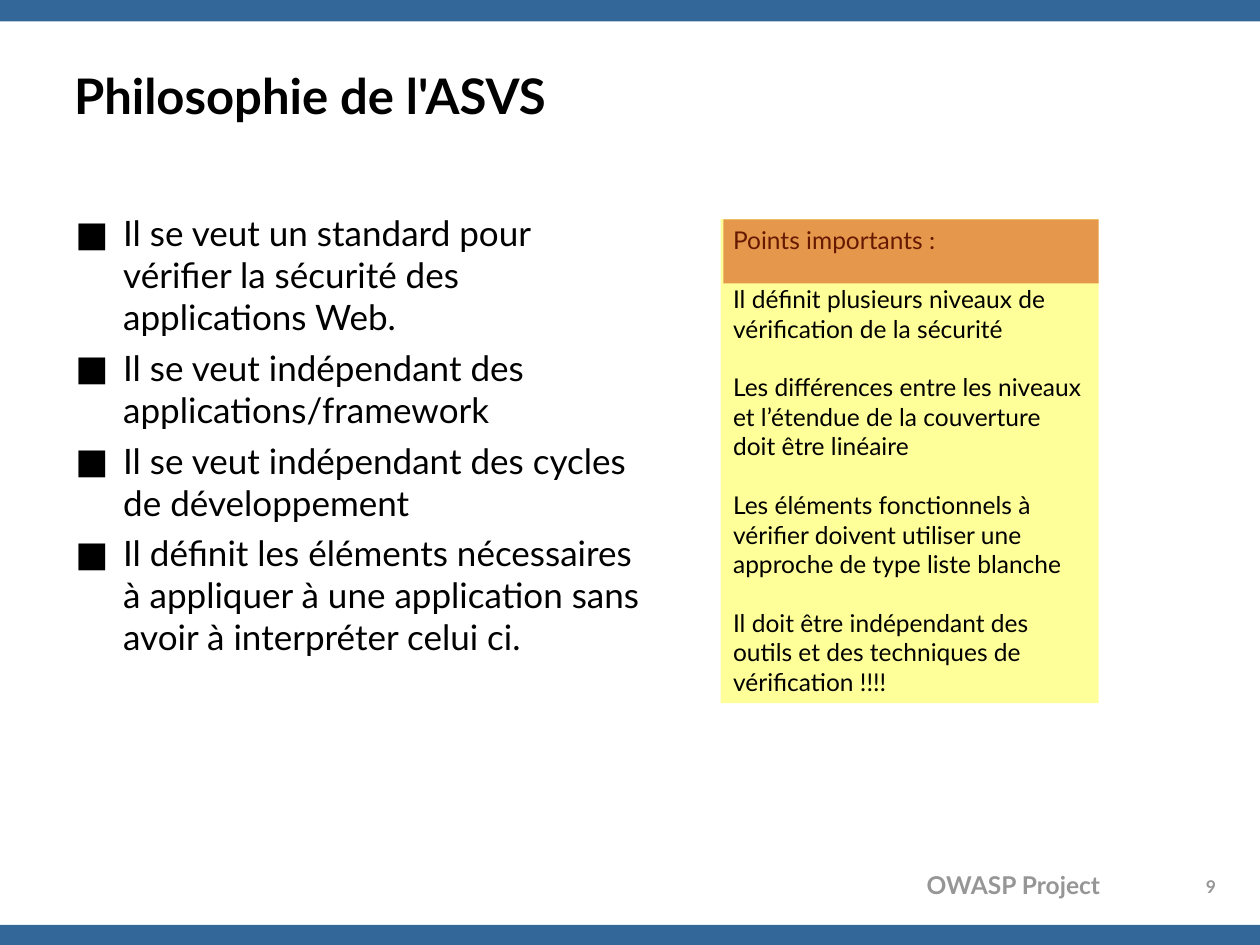
from dataclasses import dataclass
from typing import Optional

import lxml.etree
import pptx
import pptx.dml.color
import pptx.enum.shapes
import pptx.enum.text
import pptx.oxml.ns
import pptx.slide
import pptx.text.text
import pptx.util
from pptx.util import Inches

ALIGN = pptx.enum.text.PP_ALIGN
ANCHOR = pptx.enum.text.MSO_ANCHOR


@dataclass(frozen=True)
class Theme:
    font: str = "Lato"
    band: str = "336699"
    ink: str = "000000"
    muted: str = "969696"
    panel: str = "FFFF99"
    highlight: str = "CC3300"
    title_size: float = 28
    body_size: float = 20
    note_size: float = 14
    number_size: float = 10


@dataclass(frozen=True)
class Area:
    left: float
    top: float
    width: float
    height: float

    def lengths(self) -> tuple:
        return tuple(Inches(v) for v in (self.left, self.top, self.width, self.height))


THEME = Theme()
BANDS = [Area(0, 0, 10, 0.17), Area(0, 7.34, 10, 0.17)]
BULLETS = [
    "Il se veut un standard pour vérifier la sécurité des applications Web.",
    "Il se veut indépendant des applications/framework",
    "Il se veut indépendant des cycles de développement",
    "Il définit les éléments nécessaires à appliquer à une application sans "
    "avoir à interpréter celui ci.",
]
KEY_POINTS = [
    "Points importants :",
    "Il définit plusieurs niveaux de vérification de la sécurité",
    "Les différences entre les niveaux et l’étendue de la couverture doit être linéaire",
    "Les éléments fonctionnels à vérifier doivent utiliser une approche de type liste blanche",
    "Il doit être indépendant des outils et des techniques de vérification !!!!",
]


def color(value: str) -> pptx.dml.color.RGBColor:
    return pptx.dml.color.RGBColor.from_string(value)


def add_element(parent, tag: str, **attributes: str):
    return lxml.etree.SubElement(parent, pptx.oxml.ns.qn(tag), attributes)


def add_bullet(para, indent: float) -> None:
    """Give the paragraph a black square bullet with a hanging indent."""
    properties = para._p.get_or_add_pPr()
    properties.set("marL", str(Inches(indent)))
    properties.set("indent", str(-Inches(indent)))
    bullet_color = add_element(properties, "a:buClr")
    add_element(bullet_color, "a:srgbClr", val=THEME.ink)
    add_element(properties, "a:buFont", typeface=THEME.font)
    add_element(properties, "a:buChar", char="■")


def write(frame: pptx.text.text.TextFrame, texts: list[str], *, size: float,
          ink: str = THEME.ink, bold: bool = False, align: ALIGN = ALIGN.LEFT,
          anchor: ANCHOR = ANCHOR.TOP, gap: float = 0,
          bullet_indent: Optional[float] = None) -> None:
    """Fill a frame with one paragraph per text, parted by gap points."""
    frame.word_wrap = True
    frame.vertical_anchor = anchor
    for index, text in enumerate(texts):
        para = frame.add_paragraph() if index else frame.paragraphs[0]
        para.alignment = align
        if index and gap:
            para.space_before = pptx.util.Pt(gap)
        if bullet_indent is not None:
            add_bullet(para, bullet_indent)
        span = para.add_run()
        span.text = text
        span.font.name = THEME.font
        span.font.size = pptx.util.Pt(size)
        span.font.bold = bold
        span.font.color.rgb = color(ink)


def add_text(page: pptx.slide.Slide, area: Area, texts: list[str], **text_format) -> None:
    box = page.shapes.add_textbox(*area.lengths())
    write(box.text_frame, texts, **text_format)


def add_rectangle(page: pptx.slide.Slide, area: Area, fill: str,
                  opacity: Optional[int] = None):
    """Draw a borderless rectangle; opacity is a percentage."""
    shape = page.shapes.add_shape(
        pptx.enum.shapes.MSO_SHAPE.RECTANGLE, *area.lengths())
    shape.shadow.inherit = False
    shape.line.fill.background()
    shape.fill.solid()
    shape.fill.fore_color.rgb = color(fill)
    if opacity is not None:
        fill_color = shape._element.spPr.find(".//" + pptx.oxml.ns.qn("a:srgbClr"))
        add_element(fill_color, "a:alpha", val=str(opacity * 1000))
    return shape


def main() -> None:
    deck = pptx.Presentation()
    deck.slide_width, deck.slide_height = Inches(10), Inches(7.5)
    page = deck.slides.add_slide(deck.slide_layouts[6])

    for band in BANDS:
        add_rectangle(page, band, THEME.band)
    add_text(page, Area(5.72, 6.86, 3.11, 0.34), ["OWASP Project"],
             size=THEME.note_size, ink=THEME.muted, bold=True, align=ALIGN.RIGHT)
    add_text(page, Area(9.39, 6.9, 0.44, 0.25), ["9"],
             size=THEME.number_size, ink=THEME.muted, bold=True, align=ALIGN.CENTER)
    add_text(page, Area(0.49, 0.29, 7.17, 0.93), ["Philosophie de l'ASVS"],
             size=THEME.title_size, bold=True, anchor=ANCHOR.MIDDLE)
    add_text(page, Area(0.5, 1.63, 4.73, 5.12), BULLETS,
             size=THEME.body_size, gap=5, bullet_indent=0.38)

    panel = add_rectangle(page, Area(5.72, 1.74, 3, 3.84), THEME.panel)
    write(panel.text_frame, KEY_POINTS, size=THEME.note_size,
          gap=1.2 * THEME.note_size)
    add_rectangle(page, Area(5.74, 1.74, 2.98, 0.51), THEME.highlight, opacity=50)

    deck.save("out.pptx")


if __name__ == "__main__":
    main()
